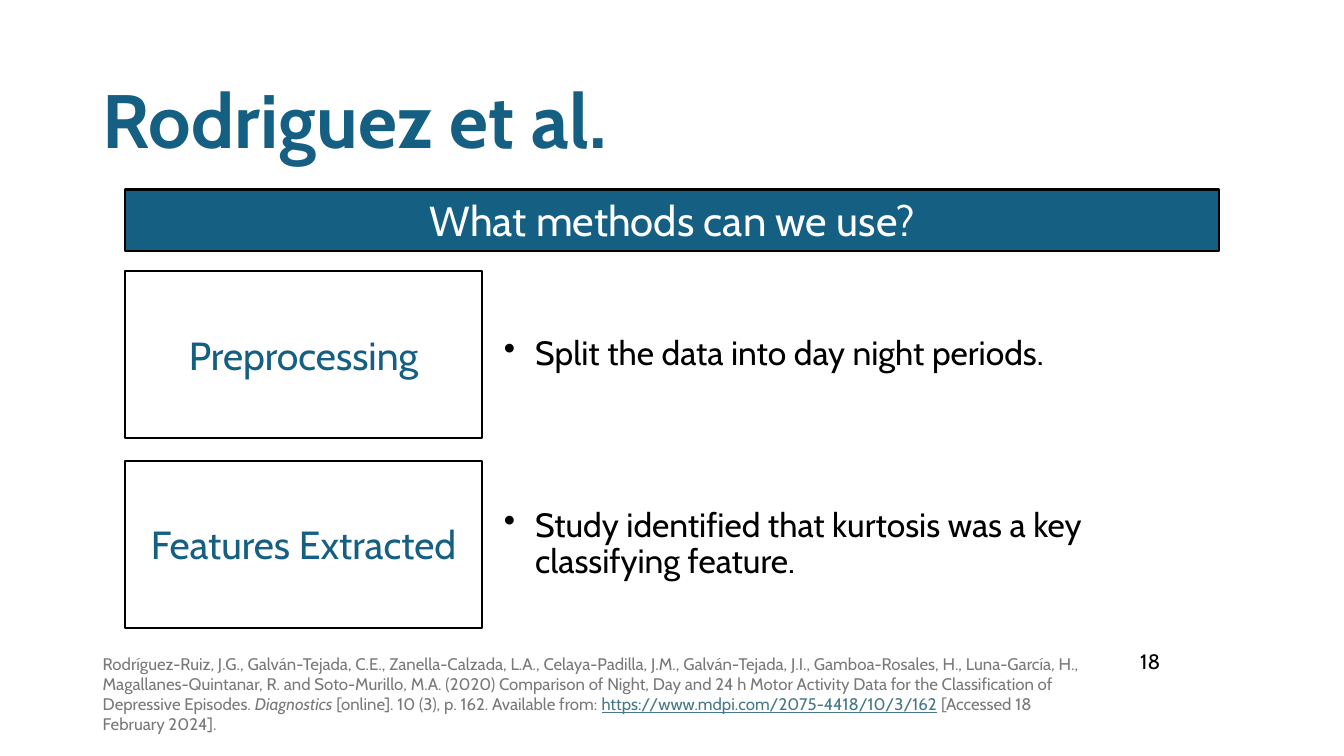
"""Build the methods slide for the Rodriguez et al. study."""
from lxml import etree
from pptx import Presentation
from pptx.dml.color import RGBColor
from pptx.enum.shapes import MSO_SHAPE
from pptx.enum.text import MSO_ANCHOR, PP_ALIGN
from pptx.oxml.ns import qn
from pptx.util import Inches, Pt

RECTANGLE = MSO_SHAPE.RECTANGLE
MIDDLE, TOP = MSO_ANCHOR.MIDDLE, MSO_ANCHOR.TOP
LEFT, CENTER = PP_ALIGN.LEFT, PP_ALIGN.CENTER
FONT = "Cabin"
COLORS = {"teal": "156082", "white": "FFFFFF", "black": "000000",
          "gray": "797979", "link": "467886"}

BODY_LEFT, BODY_WIDTH = 1.24, 10.85
LABEL_WIDTH, DETAIL_LEFT, DETAIL_WIDTH = 3.54, 4.9, 7.19
ROW_TOP, ROW_HEIGHT, ROW_STEP = 2.69, 1.66, 1.88
ROWS = [
    ("Preprocessing", "Split the data into day night periods."),
    ("Features Extracted",
     "Study identified that kurtosis was a key classifying feature."),
]
CITATION = [
    ("Rodríguez-Ruiz, J.G., Galván-Tejada, C.E., Zanella-Calzada, L.A., "
     "Celaya-Padilla, J.M., Galván-Tejada, J.I., Gamboa-Rosales, H., "
     "Luna-García, H., Magallanes-Quintanar, R. and Soto-Murillo, M.A. (2020) "
     "Comparison of Night, Day and 24 h Motor Activity Data for the "
     "Classification of Depressive Episodes. ", "gray", {}),
    ("Diagnostics", "gray", {"italic": True}),
    (" [online]. 10 (3), p. 162. Available from: ", "gray", {}),
    ("https://www.mdpi.com/2075-4418/10/3/162", "link", {"underline": True}),
    (" [Accessed 18 February 2024].", "gray", {}),
]


def color(name):
    """Return the named colour."""
    return RGBColor.from_string(COLORS[name])


def apply_format(target, **values):
    """Set every given attribute on the target."""
    for name, value in values.items():
        setattr(target, name, value)


def add_span(para, text, size, color_name, **values):
    """Append a formatted run to a paragraph."""
    span = para.add_run()
    span.text = text
    apply_format(span.font, name=FONT, size=Pt(size), **values)
    span.font.color.rgb = color(color_name)


def add_bullet(para):
    """Give a paragraph a round bullet with a hanging indent."""
    properties = para._p.get_or_add_pPr()
    properties.set("marL", str(Inches(0.31)))
    properties.set("indent", str(-Inches(0.31)))
    etree.SubElement(properties, qn("a:buChar")).set("char", "•")


def add_panel(page, place, text, size, text_color, fill="white",
              outlined=True, bulleted=False):
    """Add a filled rectangle holding one paragraph."""
    box = page.shapes.add_shape(RECTANGLE, *map(Inches, place))
    box.shadow.inherit = False
    box.fill.solid()
    box.fill.fore_color.rgb = color(fill)
    if outlined:
        box.line.color.rgb = color("black")
        box.line.width = Pt(1.5)
    else:
        box.line.fill.background()
    apply_format(box.text_frame, word_wrap=True, vertical_anchor=MIDDLE)
    para = box.text_frame.paragraphs[0]
    apply_format(para, alignment=CENTER, space_after=Pt(6))
    if bulleted:
        apply_format(para, alignment=LEFT, line_spacing=0.9)
        add_bullet(para)
    add_span(para, text, size, text_color)


def add_text(page, place, spans, size, anchor):
    """Add a text box with one paragraph of formatted spans."""
    box = page.shapes.add_textbox(*map(Inches, place))
    apply_format(box.text_frame, word_wrap=True, vertical_anchor=anchor)
    for text, color_name, values in spans:
        add_span(box.text_frame.paragraphs[0], text, size, color_name, **values)


def set_title(page, text):
    """Place and format the title placeholder."""
    title = page.shapes.title
    apply_format(title, left=Inches(0.92), top=Inches(0.61),
                 width=Inches(11.5), height=Inches(1.24))
    apply_format(title.text_frame, word_wrap=True, vertical_anchor=MIDDLE)
    para = title.text_frame.paragraphs[0]
    apply_format(para, alignment=LEFT, line_spacing=0.9)
    add_span(para, text, 54, "teal", bold=True)


def main():
    """Build and save the slide."""
    deck = Presentation()
    apply_format(deck, slide_width=Inches(13.33), slide_height=Inches(7.5))
    page = deck.slides.add_slide(deck.slide_layouts[5])
    set_title(page, "Rodriguez et al.")
    add_text(page, (0.92, 6.52, 9.91, 0.73), CITATION, 12, MIDDLE)
    add_text(page, (11.21, 6.39, 0.82, 0.33), [("18", "black", {})], 14.9, TOP)
    add_panel(page, (BODY_LEFT, 1.88, BODY_WIDTH, 0.61),
              "What methods can we use?", 29.9, "white", fill="teal")
    for index, (label, detail) in enumerate(ROWS):
        top = ROW_TOP + index * ROW_STEP
        add_panel(page, (BODY_LEFT, top, LABEL_WIDTH, ROW_HEIGHT),
                  label, 28, "teal")
        add_panel(page, (DETAIL_LEFT, top, DETAIL_WIDTH, ROW_HEIGHT),
                  detail, 24, "black", outlined=False, bulleted=True)
    deck.save("out.pptx")


if __name__ == "__main__":
    main()
